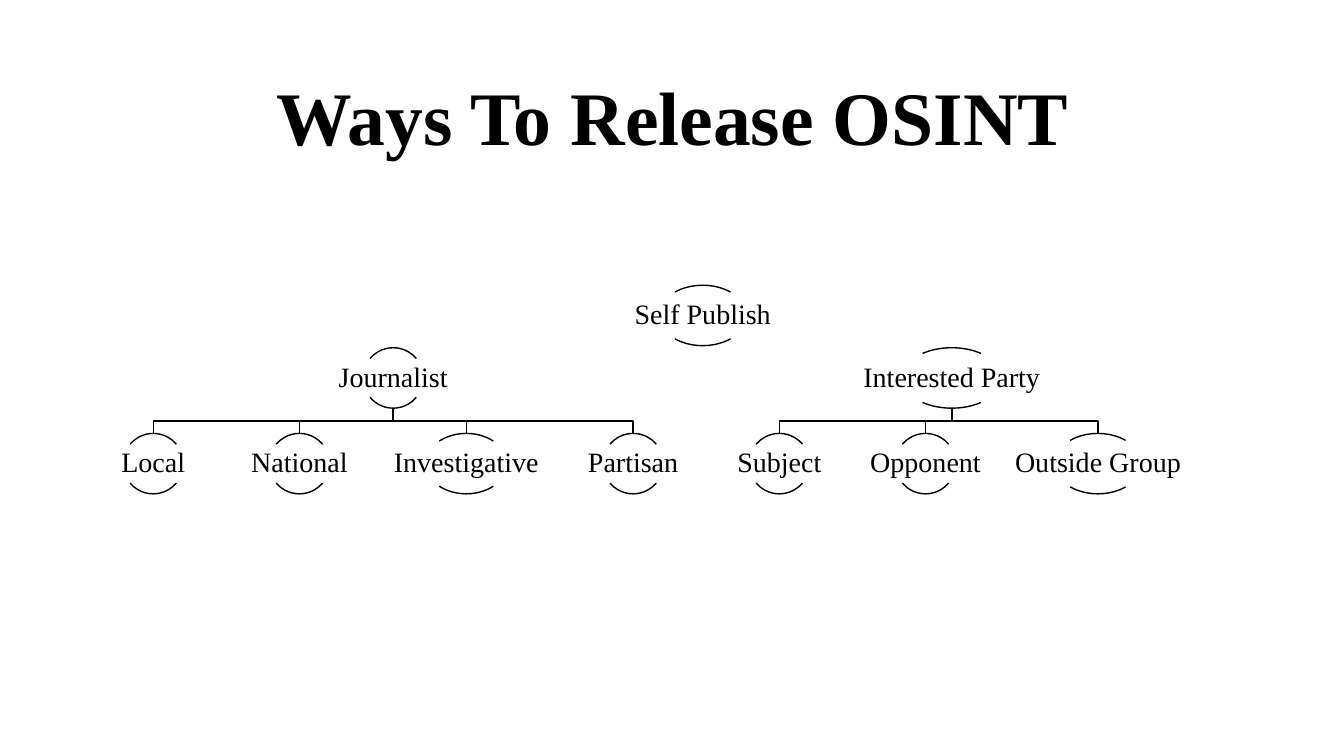
from pptx import Presentation
from pptx.dml.color import RGBColor
from pptx.enum.shapes import MSO_SHAPE
from pptx.enum.text import MSO_ANCHOR, PP_ALIGN
from pptx.util import Inches, Pt

BLACK = RGBColor(0x00, 0x00, 0x00)
WHITE = RGBColor(0xFF, 0xFF, 0xFF)
FONT = "Times New Roman"

# Tree measures in inches
LEFT = 0.92
GAP = 0.25
NODE_HEIGHT = 0.6
LABEL_HEIGHT = 0.38
ROOT_TOP, PARENT_TOP, CHILD_TOP = 2.83, 3.45, 4.3
ARC_ANGLES = [(132, 192), (24, 84)]  # upper and lower arc

# Parent label, label width, children with label widths
BRANCHES = [
    ("Journalist", 1.2, [("Local", 1.2), ("National", 1.2),
                         ("Investigative", 1.61), ("Partisan", 1.2)]),
    ("Interested Party", 1.98, [("Subject", 1.2), ("Opponent", 1.2),
                                ("Outside Group", 1.72)]),
]


def style_outline(shape):
    shape.shadow.inherit = False
    shape.fill.background()
    shape.line.color.rgb = BLACK
    shape.line.width = Pt(1)


def add_text(slide, text, left, top, width, height, size, bold=False):
    box = slide.shapes.add_textbox(Inches(left), Inches(top), Inches(width), Inches(height))
    text_frame = box.text_frame
    text_frame.word_wrap = True
    text_frame.text = text
    paragraph = text_frame.paragraphs[0]
    paragraph.alignment = PP_ALIGN.CENTER
    paragraph.line_spacing = 0.9
    font = paragraph.runs[0].font
    font.name = FONT
    font.size = Pt(size)
    font.bold = bold
    font.color.rgb = BLACK
    return text_frame


def add_node(slide, text, center, top, width):
    # Arcs are half as wide as the label, but never narrower than a circle
    arc_width = max(width / 2, NODE_HEIGHT)
    for angles in ARC_ANGLES:
        arc = slide.shapes.add_shape(
            MSO_SHAPE.ARC, Inches(center - arc_width / 2), Inches(top),
            Inches(arc_width), Inches(NODE_HEIGHT))
        arc.adjustments[0], arc.adjustments[1] = angles
        style_outline(arc)
    label_top = top + (NODE_HEIGHT - LABEL_HEIGHT) / 2
    text_frame = add_text(slide, text, center - width / 2, label_top, width, LABEL_HEIGHT, 20)
    text_frame.vertical_anchor = MSO_ANCHOR.MIDDLE
    text_frame.margin_left = text_frame.margin_right = Inches(0.01)
    text_frame.margin_top = text_frame.margin_bottom = Inches(0.01)


def add_branch_line(slide, parent_center, child_center):
    start = PARENT_TOP + NODE_HEIGHT
    middle = (start + CHILD_TOP) / 2
    builder = slide.shapes.build_freeform(Inches(parent_center), Inches(start))
    builder.add_line_segments(
        [(Inches(parent_center), Inches(middle)),
         (Inches(child_center), Inches(middle)),
         (Inches(child_center), Inches(CHILD_TOP))], close=False)
    style_outline(builder.convert_to_shape())


def add_branch(slide, text, width, children, left):
    """Draw a parent centred above its children; return the next free left edge."""
    centers = []
    cursor = left
    for _, child_width in children:
        centers.append(cursor + child_width / 2)
        cursor += child_width + GAP
    parent_center = (left + cursor - GAP) / 2
    for center in centers:
        add_branch_line(slide, parent_center, center)
    add_node(slide, text, parent_center, PARENT_TOP, width)
    for (child, child_width), center in zip(children, centers):
        add_node(slide, child, center, CHILD_TOP, child_width)
    return cursor


def main():
    presentation = Presentation()
    presentation.slide_width = Inches(13.33)
    presentation.slide_height = Inches(7.5)
    slide = presentation.slides.add_slide(presentation.slide_layouts[6])
    slide.background.fill.solid()
    slide.background.fill.fore_color.rgb = WHITE

    # Title
    add_text(slide, "Ways To Release OSINT", 0.92, 0.75, 11.5, 6.01, 54, bold=True)

    # Branches from left to right
    left = LEFT
    for text, width, children in BRANCHES:
        left = add_branch(slide, text, width, children, left)

    # Stand-alone node
    add_node(slide, "Self Publish", 6.97, ROOT_TOP, 1.74)

    presentation.save("out.pptx")


if __name__ == "__main__":
    main()
